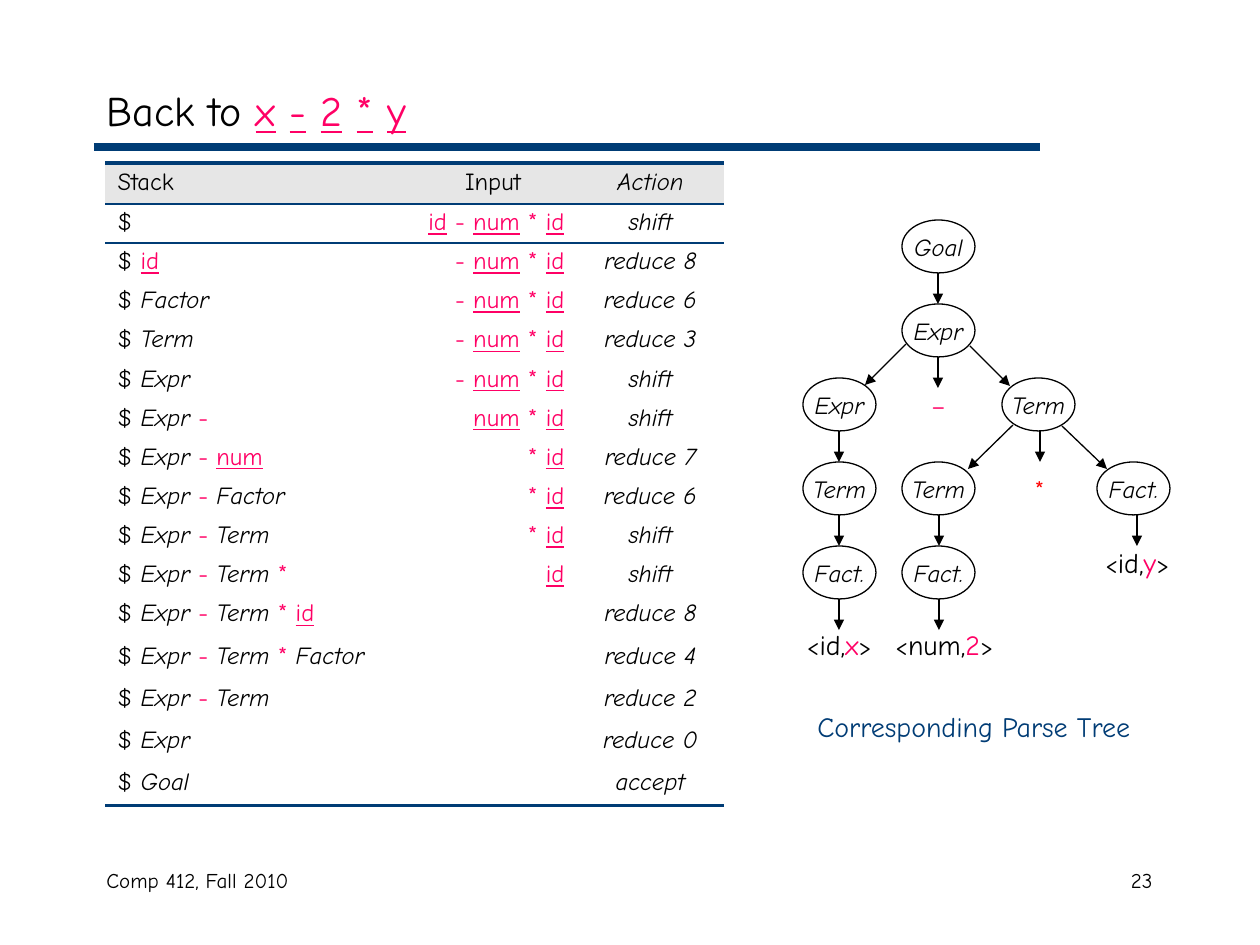
from dataclasses import dataclass

from lxml.etree import SubElement
from pptx import Presentation
from pptx.dml.color import RGBColor
from pptx.enum.shapes import MSO_CONNECTOR, MSO_SHAPE
from pptx.enum.text import MSO_ANCHOR, PP_ALIGN
from pptx.oxml import parse_xml
from pptx.oxml.ns import nsdecls, qn
from pptx.util import Pt

PX = 914400 / 126
NO_TABLE_STYLE = "{2D5ABB26-0587-4C30-8999-92F81FD0307C}"


def px(length):
    return round(length * PX)


@dataclass(frozen=True)
class Theme:
    font: str = "Comic Neue"
    ink: str = "000000"
    pink: str = "FF0065"
    red: str = "FF0000"
    navy: str = "003C75"
    header: str = "E6E6E6"
    paper: str = "FFFFFF"
    title: int = 24
    caption: int = 16
    body: int = 14
    footer: int = 12


THEME = Theme()


@dataclass
class Run:
    text: str
    color: str = THEME.ink
    size: int = THEME.body
    italic: bool = False
    underline: bool = False


def grammar_runs(symbols):
    """Style symbols by kind; spaces stay outside underlined terminals."""
    tokens = symbols.split()
    runs = []
    for i, token in enumerate(tokens):
        tail = " " if i < len(tokens) - 1 else ""
        if token in ("id", "num"):
            runs.append(Run(token, THEME.pink, underline=True))
        elif token in ("-", "*"):
            lead = " " if runs and runs[-1].underline else ""
            runs.append(Run(lead + token + tail, THEME.pink))
        else:
            runs.append(Run(token + tail, italic=token != "$"))
    return runs


def leaf_runs(kind, value):
    big = THEME.caption
    return [Run("<"), Run(kind + ",", size=big), Run(value, THEME.pink, big), Run(">")]


class SlideBuilder:
    def __init__(self, slide, theme):
        self.slide = slide
        self.theme = theme

    def fill_paragraph(self, paragraph, runs, align=PP_ALIGN.LEFT):
        paragraph.alignment = align
        for part in runs:
            run = paragraph.add_run()
            run.text = part.text
            font = run.font
            font.name, font.size = self.theme.font, Pt(part.size)
            font.color.rgb = RGBColor.from_string(part.color)
            font.italic, font.underline = part.italic, part.underline

    def text(self, box, runs, align=PP_ALIGN.LEFT, anchor=MSO_ANCHOR.TOP):
        frame = self.slide.shapes.add_textbox(*map(px, box)).text_frame
        frame.word_wrap = True
        frame.vertical_anchor = anchor
        self.fill_paragraph(frame.paragraphs[0], runs, align)

    def line(self, start, end, color, width, arrow=False):
        line = self.slide.shapes.add_connector(
            MSO_CONNECTOR.STRAIGHT, *map(px, (*start, *end)))
        line.line.color.rgb = RGBColor.from_string(color)
        line.line.width = Pt(width)
        if arrow:
            outline = line._element.spPr.find(qn("a:ln"))
            SubElement(outline, qn("a:tailEnd"), type="triangle")
        SubElement(line._element.spPr, qn("a:effectLst"))

    def arrow(self, start, end):
        self.line(start, end, self.theme.ink, 0.75, arrow=True)

    def ellipse(self, box, runs, outlined):
        oval = self.slide.shapes.add_shape(MSO_SHAPE.OVAL, *map(px, box))
        oval.shadow.inherit = False
        oval.fill.background()
        if outlined:
            oval.line.color.rgb = RGBColor.from_string(self.theme.ink)
            oval.line.width = Pt(0.75)
        else:
            oval.line.fill.background()
        frame = oval.text_frame
        frame.word_wrap = False
        frame.vertical_anchor = MSO_ANCHOR.MIDDLE
        self.fill_paragraph(frame.paragraphs[0], runs, PP_ALIGN.CENTER)

    def border(self, cell, side, width):
        xml = (f'<a:{side} {nsdecls("a")} w="{Pt(width)}"><a:solidFill>'
               f'<a:srgbClr val="{self.theme.navy}"/></a:solidFill></a:{side}>')
        cell._tc.get_or_add_tcPr().insert(0, parse_xml(xml))

    def table(self, left, top, widths, heights, rows, aligns):
        """rows holds one list of runs for each cell."""
        table = self.slide.shapes.add_table(
            len(rows), len(widths),
            *map(px, (left, top, sum(widths), sum(heights)))).table
        table.first_row = table.horz_banding = False
        table._tbl.tblPr.find(qn("a:tableStyleId")).text = NO_TABLE_STYLE
        for column, width in zip(table.columns, widths):
            column.width = px(width)
        # Bottom edge before top edge: each is inserted first in the cell
        edges = {0: [("lnB", 1), ("lnT", 2.25)], 1: [("lnT", 1)],
                 len(rows) - 1: [("lnB", 2.25)]}
        for r, cells in enumerate(rows):
            table.rows[r].height = px(heights[r])
            for c, runs in enumerate(cells):
                cell = table.cell(r, c)
                paragraph = cell.text_frame.paragraphs[0]
                paragraph.line_spacing = 0.9 if r else 0.95
                paragraph.font.size = Pt(self.theme.body)
                self.fill_paragraph(paragraph, runs, aligns[c] if r else HEADER_ALIGNS[c])
                cell.fill.solid()
                cell.fill.fore_color.rgb = RGBColor.from_string(
                    self.theme.paper if r else self.theme.header)
                for side, width in edges.get(r, []):
                    self.border(cell, side, width)


HEADER_ALIGNS = [PP_ALIGN.LEFT, PP_ALIGN.CENTER, PP_ALIGN.CENTER]
PARSE_ALIGNS = [PP_ALIGN.LEFT, PP_ALIGN.RIGHT, PP_ALIGN.CENTER]

PARSE_STEPS = [
    ("$", "id - num * id", "shift"),
    ("$ id", "- num * id", "reduce 8"),
    ("$ Factor", "- num * id", "reduce 6"),
    ("$ Term", "- num * id", "reduce 3"),
    ("$ Expr", "- num * id", "shift"),
    ("$ Expr -", "num * id", "shift"),
    ("$ Expr - num", "* id", "reduce 7"),
    ("$ Expr - Factor", "* id", "reduce 6"),
    ("$ Expr - Term", "* id", "shift"),
    ("$ Expr - Term *", "id", "shift"),
    ("$ Expr - Term * id", "", "reduce 8"),
    ("$ Expr - Term * Factor", "", "reduce 4"),
    ("$ Expr - Term", "", "reduce 2"),
    ("$ Expr", "", "reduce 0"),
    ("$ Goal", "", "accept"),
]

# Parse tree: label, column, level, and sideways shift of the arrow below
NODE_W, NODE_H, ARROW_LENGTH = 73, 53, 31
COLUMNS = [803, 902, 1002, 1097]
LEVELS = [220, 304, 378, 462, 546]
TREE_NODES = [
    ("Goal", 1, 0, 0), ("Expr", 1, 1, 0), ("Expr", 0, 2, 0), ("Term", 2, 2, 2),
    ("Term", 0, 3, 0), ("Term", 1, 3, 1), ("Fact.", 3, 3, 4),
    ("Fact.", 0, 4, 0), ("Fact.", 1, 4, 1),
]
TREE_LEAVES = [
    ([Run("–", THEME.pink)], 902, 378),
    ([Run("*", THEME.red)], 1003, 462),
    (leaf_runs("id", "x"), 803, 618),
    (leaf_runs("num", "2"), 908, 618),
    (leaf_runs("id", "y"), 1101, 536),
]
BRANCHES = [
    ((906, 344), (865, 385)), ((970, 346), (1010, 386)),
    ((1013, 425), (968, 469)), ((1062, 426), (1107, 469)),
]


def main():
    deck = Presentation()
    deck.slide_width, deck.slide_height = px(1260), px(945)
    page = SlideBuilder(deck.slides.add_slide(deck.slide_layouts[6]), THEME)

    # Title and rule
    title = [Run("Back to ", size=THEME.title)]
    for i, symbol in enumerate("x-2*y"):
        if i:
            title.append(Run(" ", THEME.pink, THEME.title))
        title.append(Run(symbol, THEME.pink, THEME.title, underline=True))
    page.text((94, 73, 1071, 73), title, anchor=MSO_ANCHOR.MIDDLE)
    page.line((94, 147), (1040, 147), THEME.navy, 4.5)

    # Shift-reduce trace
    header = [[Run("Stack")], [Run("Input")], [Run("Action", italic=True)]]
    steps = [[grammar_runs(stack), grammar_runs(rest), [Run(action, italic=True)]]
             for stack, rest, action in PARSE_STEPS]
    heights = [41] + [39 if rest else 41 for _, rest, _ in PARSE_STEPS]
    page.table(105, 163, [304, 168, 147], heights, [header] + steps, PARSE_ALIGNS)

    # Parse tree
    for label, column, level, shift in TREE_NODES:
        left, top = COLUMNS[column], LEVELS[level]
        page.ellipse((left, top, NODE_W, NODE_H), [Run(label, italic=True)], True)
        x, y = left + NODE_W // 2 + shift, top + NODE_H
        page.arrow((x, y), (x, y + ARROW_LENGTH))
    for runs, left, top in TREE_LEAVES:
        page.ellipse((left, top, NODE_W, NODE_H), runs, False)
    for start, end in BRANCHES:
        page.arrow(start, end)
    page.text((805, 703, 368, 47),
              [Run("Corresponding Parse Tree", THEME.navy, THEME.caption)])

    # Footer
    page.text((94, 861, 399, 63), [Run("Comp 412, Fall 2010", size=THEME.footer)])
    page.text((903, 861, 262, 63), [Run("23", size=THEME.footer)], PP_ALIGN.RIGHT)

    deck.save("out.pptx")


if __name__ == "__main__":
    main()
